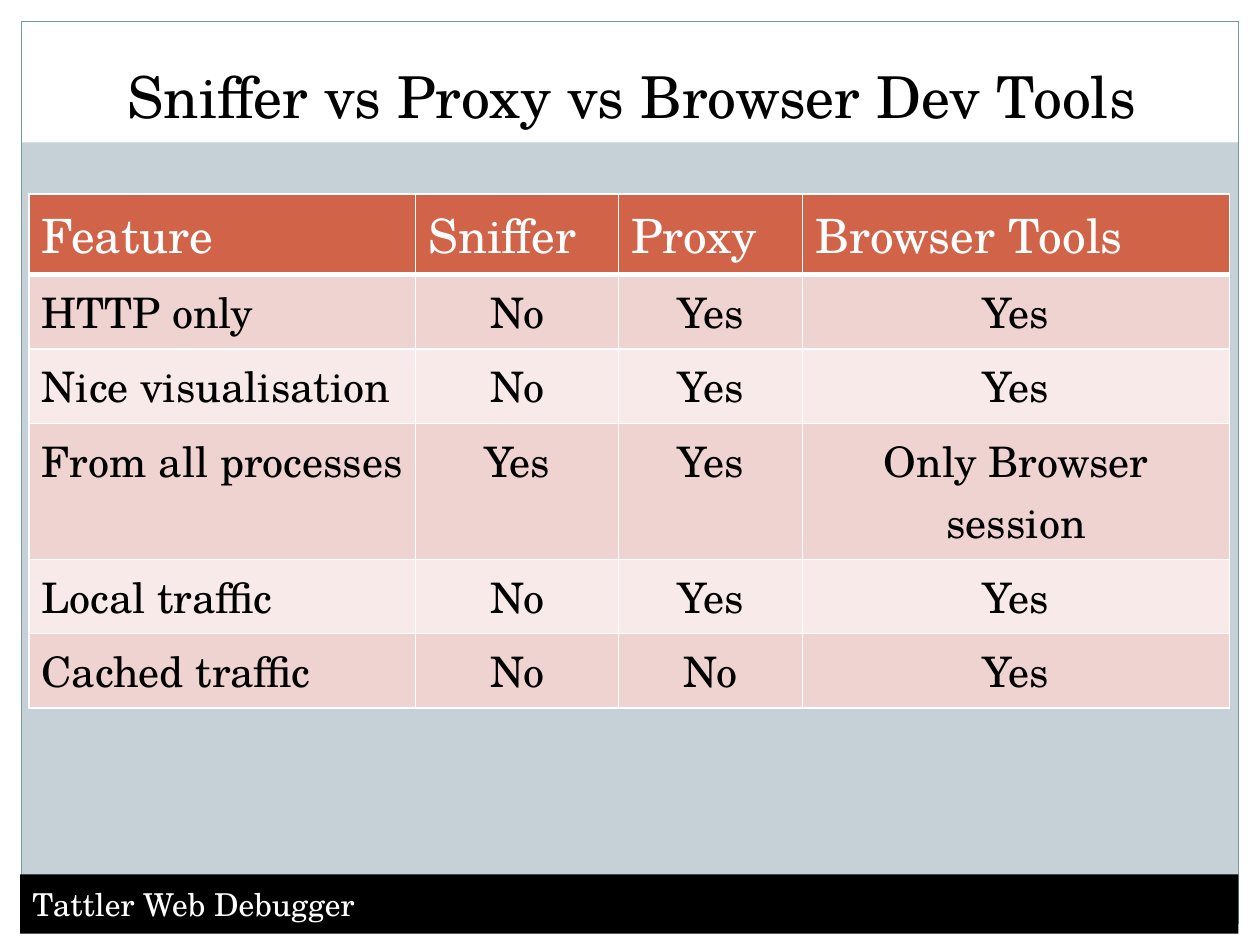
from lxml import etree
from pptx import Presentation
from pptx import util as u
from pptx.dml.color import RGBColor
from pptx.enum import shapes, text
from pptx.oxml import ns

COLORS = {"page": "C5D1D7", "white": "FFFFFF", "black": "000000", "frame": "7C999A",
          "header": "D16349", "odd": "EED3D0", "even": "F7EAE9"}
FONT = "TeX Gyre Schola"
ROWS = [
    ["Feature", "Sniffer", "Proxy", "Browser Tools"],
    ["HTTP only", "No", "Yes", "Yes"],
    ["Nice visualisation", "No", "Yes", "Yes"],
    ["From all processes", "Yes", "Yes", "Only Browser session"],
    ["Local traffic", "No", "Yes", "Yes"],
    ["Cached traffic", "No", "No", "Yes"],
]
COLUMN_WIDTHS = [3.07, 1.61, 1.46, 3.39]
ROW_HEIGHTS = [0.64, 0.59, 0.59, 1.08, 0.59, 0.59]


def color(name):
    """Return the named colour."""
    return RGBColor.from_string(COLORS[name])


def write(frame, words, size, ink, align=text.PP_ALIGN.LEFT):
    """Write one formatted paragraph into a text frame."""
    para = frame.paragraphs[0]
    para.alignment = align
    span = para.add_run()
    span.text = words
    for key, value in {"name": FONT, "size": u.Pt(size)}.items():
        setattr(span.font, key, value)
    span.font.color.rgb = color(ink)


def add_panel(page, box, fill=None, line=None):
    """Add a flat rectangle with an optional fill and outline."""
    panel = page.shapes.add_shape(shapes.MSO_SHAPE.RECTANGLE, *map(u.Inches, box))
    panel.shadow.inherit = False
    if fill:
        panel.fill.solid()
        panel.fill.fore_color.rgb = color(fill)
    else:
        panel.fill.background()
    if line:
        panel.line.color.rgb = color(line)
        panel.line.width = u.Pt(0.75)
    else:
        panel.line.fill.background()
    return panel


def add_frame(page, box, margin=0.17, band=1.13):
    """Draw the white margins, the title band and the thin frame."""
    left, top, width, height = box
    right, bottom = left + width, top + height
    for strip in [(left, bottom - margin, width, margin),
                  (left, top, width, band),
                  (left, top, margin, height),
                  (right - margin, top, margin, height)]:
        add_panel(page, strip, "white")
    inner = (left + margin, top + margin, width - 2 * margin, height - 2 * margin)
    add_panel(page, inner, line="frame")


def add_footer(page, box):
    """Draw the black footer bar with its label."""
    frame = add_panel(page, box, "black").text_frame
    frame.word_wrap = False
    frame.vertical_anchor = text.MSO_ANCHOR.MIDDLE
    write(frame, "Tattler Web Debugger", 18, "white")


def add_title(page, box):
    """Place the centred title at the bottom of its box."""
    frame = page.shapes.add_textbox(*map(u.Inches, box)).text_frame
    for key, value in {"word_wrap": True, "vertical_anchor": text.MSO_ANCHOR.BOTTOM}.items():
        setattr(frame, key, value)
    write(frame, "Sniffer vs Proxy vs Browser Dev Tools", 33, "black", text.PP_ALIGN.CENTER)


def add_borders(cell, widths):
    """Give a cell white borders of the given widths in points."""
    properties = cell._tc.get_or_add_tcPr()
    for index, (side, width) in enumerate(widths.items()):
        line = etree.Element(ns.qn(f"a:ln{side}"), w=str(u.Pt(width)))
        fill = etree.SubElement(line, ns.qn("a:solidFill"))
        etree.SubElement(fill, ns.qn("a:srgbClr"), val=COLORS["white"])
        properties.insert(index, line)


def add_comparison(page, box):
    """Build the feature table with a header and banded rows."""
    shape = page.shapes.add_table(len(ROWS), len(COLUMN_WIDTHS), *map(u.Inches, box))
    table = shape.table
    for column, width in zip(table.columns, COLUMN_WIDTHS):
        column.width = u.Inches(width)
    for i, row in enumerate(ROWS):
        table.rows[i].height = u.Inches(ROW_HEIGHTS[i])
        fill = "header" if i == 0 else ("even", "odd")[i % 2]
        size, ink = (27, "white") if i == 0 else (24, "black")
        for j, words in enumerate(row):
            cell = table.cell(i, j)
            cell.fill.solid()
            cell.fill.fore_color.rgb = color(fill)
            centred = i > 0 and j > 0
            align = text.PP_ALIGN.CENTER if centred else text.PP_ALIGN.LEFT
            write(cell.text_frame, words, size, ink, align)
            add_borders(cell, {"L": 1, "R": 1, "T": 3 if i == 1 else 1, "B": 3 if i == 0 else 1})


def main():
    """Build and save the slide."""
    deck = Presentation()
    deck.slide_width, deck.slide_height = u.Inches(10), u.Inches(7.5)
    page = deck.slides.add_slide(deck.slide_layouts[6])
    page.background.fill.solid()
    page.background.fill.fore_color.rgb = color("page")
    add_frame(page, (0, 0, 10, 7.5))
    add_footer(page, (0.16, 6.94, 9.67, 0.47))
    add_title(page, (0.35, 0.25, 9.33, 0.83))
    add_comparison(page, (0.23, 1.54, sum(COLUMN_WIDTHS), sum(ROW_HEIGHTS)))
    deck.save("out.pptx")


if __name__ == "__main__":
    main()
